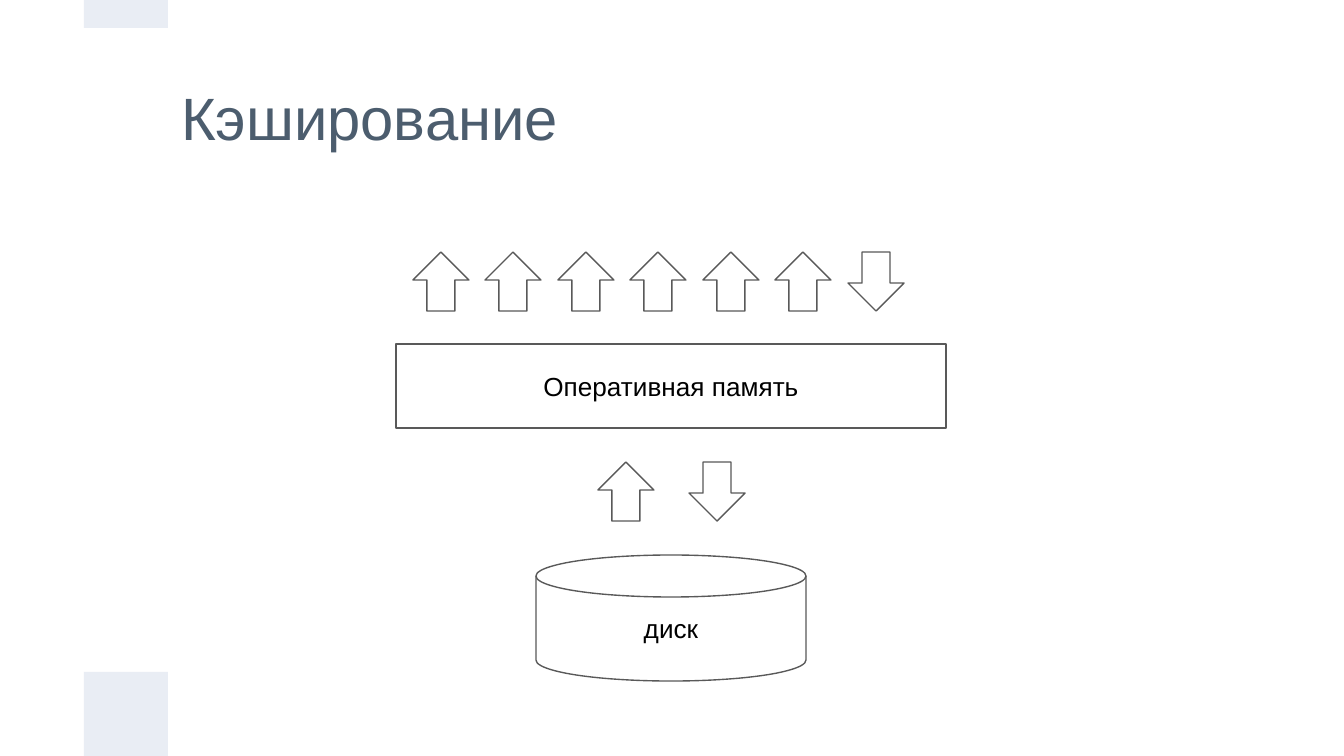
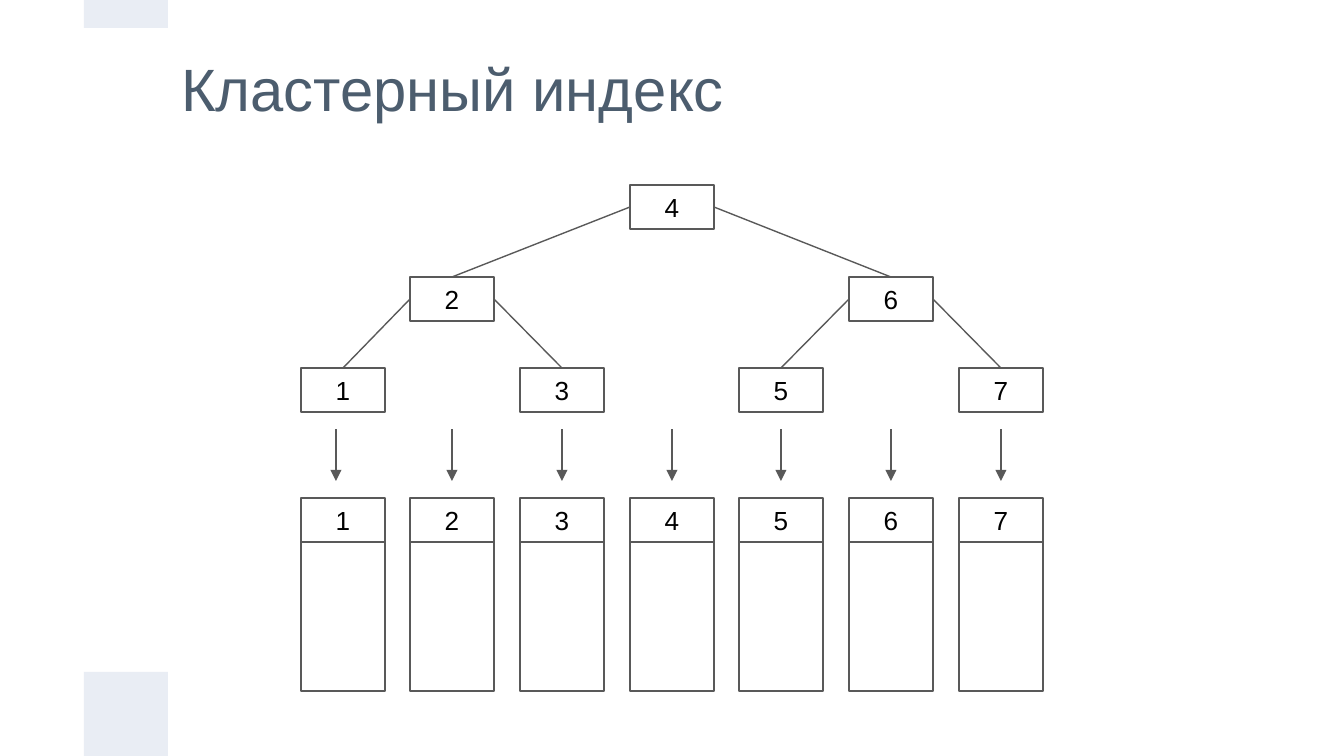
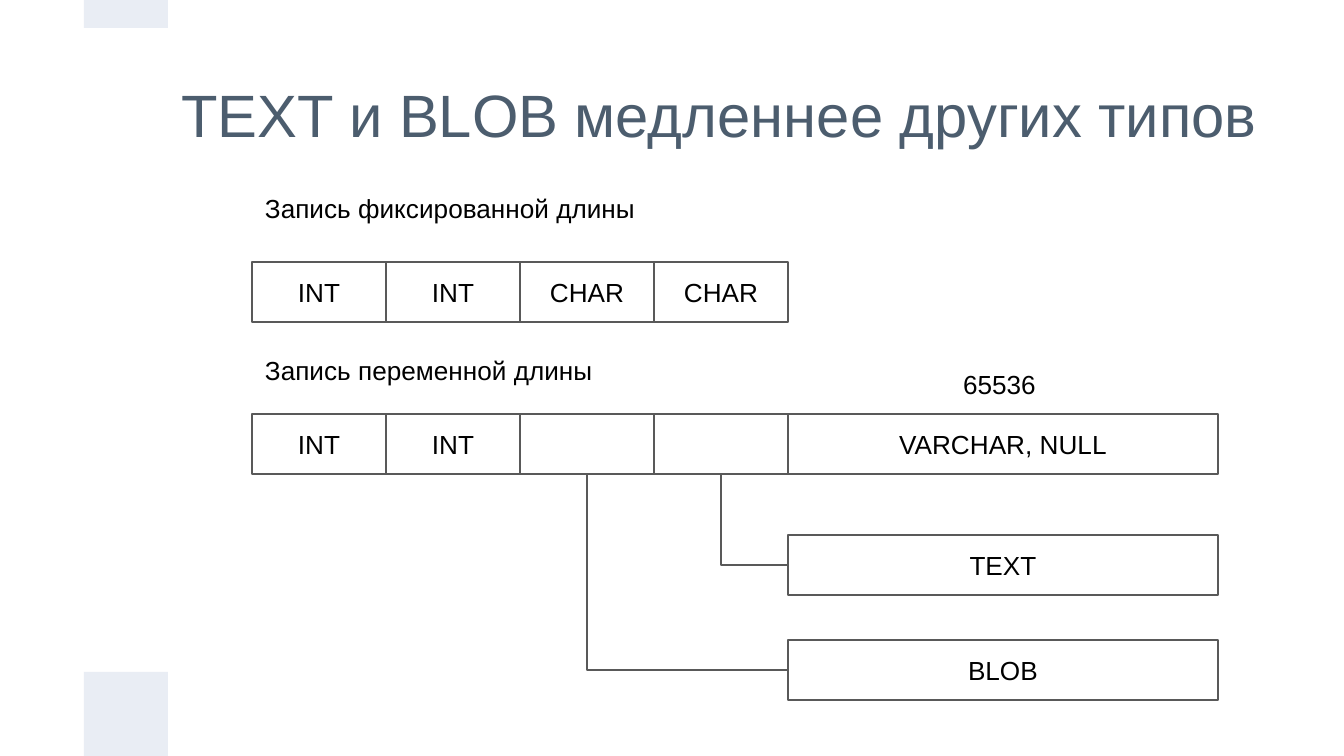
from dataclasses import dataclass

from lxml.etree import SubElement
from pptx import Presentation
from pptx.dml.color import RGBColor
from pptx.enum.shapes import MSO_CONNECTOR, MSO_SHAPE
from pptx.enum.text import MSO_ANCHOR, PP_ALIGN
from pptx.oxml.ns import qn
from pptx.util import Pt

PX = 6804  # EMU in one px; the page is 1344 px wide


@dataclass(frozen=True)
class Theme:
    font: str = "Arial"
    title_size: int = 32
    body_size: int = 14
    line_width: float = 0.75
    title: RGBColor = RGBColor(0x4C, 0x5D, 0x6E)
    ink: RGBColor = RGBColor(0, 0, 0)
    line: RGBColor = RGBColor(0x59, 0x59, 0x59)
    band: RGBColor = RGBColor(0xE9, 0xED, 0xF4)
    paper: RGBColor = RGBColor(0xFF, 0xFF, 0xFF)


theme = Theme()


def add_box(page, left, top, width, height, text="", *, shape=MSO_SHAPE.RECTANGLE,
            fill=None, outline=True, size=theme.body_size, color=theme.ink,
            align=PP_ALIGN.CENTER, anchor=MSO_ANCHOR.MIDDLE):
    """Add a shape, or a plain text box if shape is None, measured in px."""
    area = [length * PX for length in (left, top, width, height)]
    if shape is None:
        box = page.shapes.add_textbox(*area)
    else:
        box = page.shapes.add_shape(shape, *area)
        box.shadow.inherit = False
        if fill is None:
            box.fill.background()
        else:
            box.fill.solid()
            box.fill.fore_color.rgb = fill
        if outline:
            box.line.color.rgb = theme.line
            box.line.width = Pt(theme.line_width)
        else:
            box.line.fill.background()
    if text:
        frame = box.text_frame
        frame.word_wrap = True
        frame.vertical_anchor = anchor
        frame.margin_left = frame.margin_right = 13 * PX
        frame.margin_top = frame.margin_bottom = 13 * PX
        para = frame.paragraphs[0]
        para.alignment = align
        span = para.add_run()
        span.text = text
        span.font.name = theme.font
        span.font.size = Pt(size)
        span.font.color.rgb = color
    return box


def style_line(connector):
    connector.line.color.rgb = theme.line
    connector.line.width = Pt(theme.line_width)
    SubElement(connector.element.spPr, qn("a:effectLst"))


deck = Presentation()
deck.slide_width = 1344 * PX
deck.slide_height = 756 * PX

# Titles and bands of every page
titles = [
    ("Кэширование", 59, 1008, 116),
    ("Кластерный индекс", 28, 1008, 120),
    ("TEXT и BLOB медленнее других типов", 54, 1117, 120),
]
pages = []
for title, top, width, height in titles:
    page = deck.slides.add_slide(deck.slide_layouts[6])
    add_box(page, 168, top, width, height, title, shape=None, size=theme.title_size,
            color=theme.title, align=PP_ALIGN.LEFT)
    for band_top, band_height in ((672, 84), (0, 28)):
        add_box(page, 84, band_top, 84, band_height, fill=theme.band, outline=False)
    pages.append(page)
cache_page, index_page, types_page = pages

# Caching: many reads from memory, few from the disk
add_box(cache_page, 536, 555, 270, 126, "диск", shape=MSO_SHAPE.FLOWCHART_MAGNETIC_DISK)
add_box(cache_page, 396, 344, 550, 84, "Оперативная память")
memory_arrows = [(413 + 145 * i // 2, 252) for i in range(7)]
disk_arrows = [(598, 462), (689, 462)]
for arrows in (memory_arrows, disk_arrows):
    for left, top in arrows:
        arrow = add_box(cache_page, left, top, 56, 59, shape=MSO_SHAPE.UP_ARROW)
    arrow.rotation = 180  # the last arrow of each row is a write

# Clustered index: a tree over seven records
keys = range(1, 8)
column_left = {key: 301 + 658 * (key - 1) // 6 for key in keys}
level_keys = {185: (4,), 277: (2, 6), 368: (1, 3, 5, 7)}
nodes = {}
for top, level in level_keys.items():
    for key in level:
        nodes[key] = add_box(index_page, column_left[key], top, 84, 44, str(key),
                             fill=theme.paper if key == 4 else None)

for parent, distance in ((4, 2), (2, 1), (6, 1)):
    for child, side in ((parent - distance, 1), (parent + distance, 3)):
        branch = index_page.shapes.add_connector(MSO_CONNECTOR.STRAIGHT, 0, 0, 0, 0)
        branch.begin_connect(nodes[parent], side)
        branch.end_connect(nodes[child], 0)
        style_line(branch)

for key in keys:
    left = column_left[key]
    add_box(index_page, left, 498, 84, 44, str(key),
            fill=theme.paper if key == 5 else None)
    add_box(index_page, left, 542, 84, 149)
    middle = 336 if key == 1 else left + 42
    pointer = index_page.shapes.add_connector(
        MSO_CONNECTOR.STRAIGHT, middle * PX, 429 * PX, middle * PX, 481 * PX)
    style_line(pointer)
    SubElement(pointer.element.spPr.find(qn("a:ln")), qn("a:tailEnd"), type="triangle")

# Column types: fixed and variable records
labels = [
    ("Запись фиксированной длины", 252, 179, 402),
    ("Запись переменной длины", 252, 341, 402),
    ("65536", 950, 355, 105),
]
for text, left, top, width in labels:
    add_box(types_page, left, top, width, 60, text, shape=None,
            align=PP_ALIGN.LEFT, anchor=MSO_ANCHOR.TOP)

records = {262: ("INT", "INT", "CHAR", "CHAR"), 414: ("INT", "INT", "", "")}
for top, fields in records.items():
    cells = [add_box(types_page, 252 + 134 * i, top, 134, 60, field)
             for i, field in enumerate(fields)]
add_box(types_page, 788, 414, 430, 60, "VARCHAR, NULL")

# cells now holds the variable record, whose empty cells refer to outside values
for text, top, cell in (("TEXT", 535, cells[3]), ("BLOB", 640, cells[2])):
    value = add_box(types_page, 788, top, 430, 60, text)
    reference = types_page.shapes.add_connector(MSO_CONNECTOR.ELBOW, 0, 0, 0, 0)
    reference.begin_connect(value, 1)
    reference.end_connect(cell, 2)
    reference.element.spPr.find(qn("a:prstGeom")).set("prst", "bentConnector2")
    style_line(reference)

deck.save("out.pptx")
